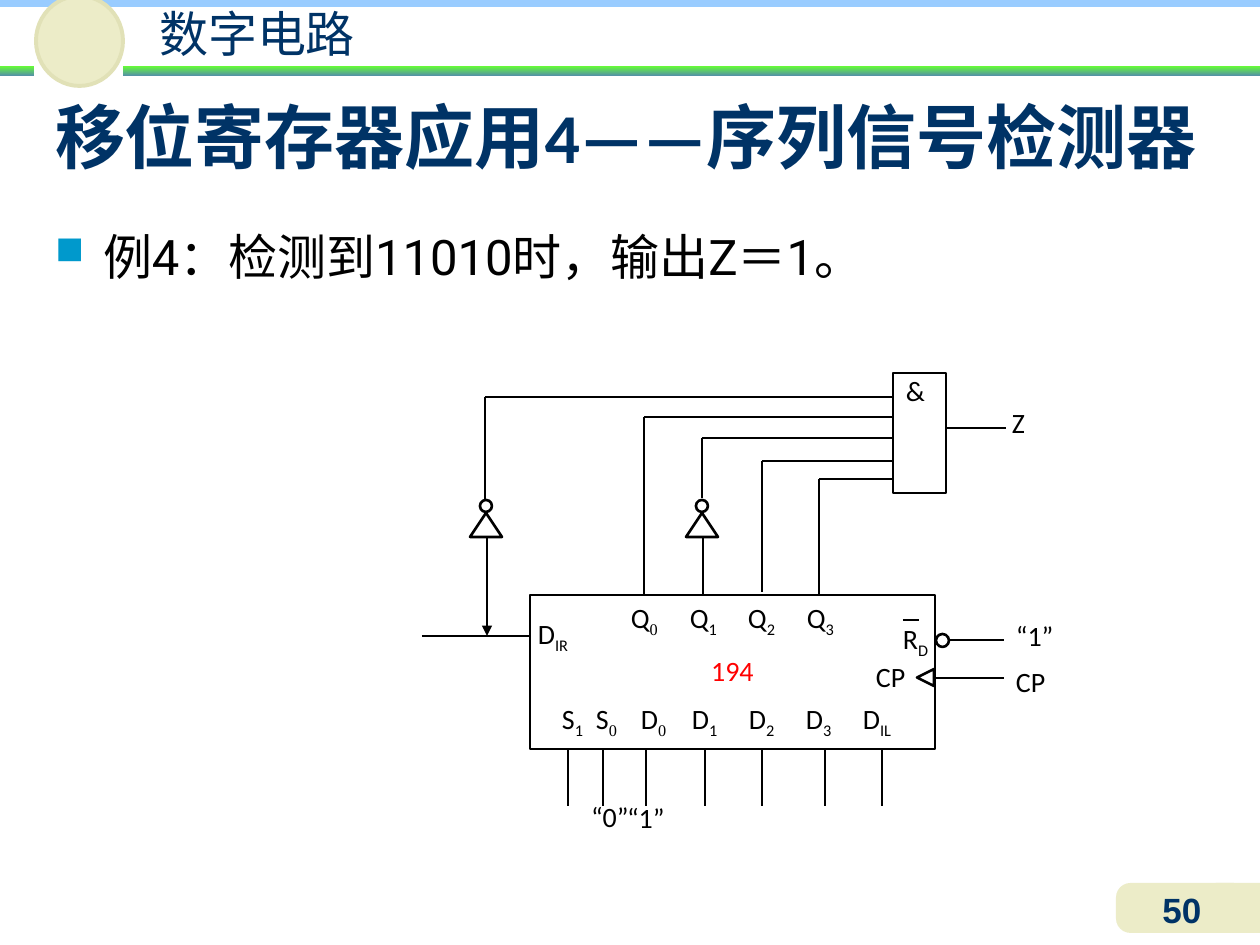
from lxml.etree import SubElement
from pptx import Presentation
from pptx.dml.color import RGBColor
from pptx.enum.shapes import MSO_CONNECTOR, MSO_SHAPE
from pptx.enum.text import MSO_ANCHOR, PP_ALIGN
from pptx.oxml.ns import qn
from pptx.util import Emu, Pt

SCALE = 914400 / 126
NAVY, BLACK, SAND = "003366", "000000", "ECECC8"
GREEN_BAND = ("66FF33", "5490A8")

BANDS = [
    ("RECTANGLE", (123, 66, 1137, 10), GREEN_BAND),
    ("RECTANGLE", (1216, 883, 44, 50), SAND),
    ("ROUNDED_RECTANGLE", (1116, 883, 132, 50), SAND),
    ("RECTANGLE", (0, -3, 1260, 10), "99CCFF"),
    ("OVAL", (36, -4, 87, 90), SAND),
    ("RECTANGLE", (0, 66, 34, 10), GREEN_BAND),
]

CHIP = (530, 595, 405, 154)
CHIP_INSET = 13
CHIP_ROWS = [
    ("\tQ_0\tQ_1\tQ_2\tQ_3", [631, 690, 748, 807], {}),
    ("194", [], {"color": "FF0000", "align": PP_ALIGN.CENTER, "before": 6}),
    ("\tS_1\tS_0\tD_0\tD_1\tD_2\tD_3\tD_IL",
     [562, 596, 641, 692, 749, 806, 863], {"before": 6}),
]
GATE = (893, 373, 53, 120)

LABELS = [
    ("“1”", (627, 801, 56, 37), (0, 0), 1),
    ("“0”", (591, 800, 56, 37), (0, 0), 1),
    ("“1”", (1016, 619, 60, 43), (0, 0), 1),
    ("Z", (1012, 406, 35, 43), (0, 0), 1),
    ("CP", (1013, 659, 63, 45), (3, 1), 1.12),
    ("CP", (873, 655, 47, 45), (3, 1), 1.12),
    ("R_D", (900, 616, 38, 55), (3, 1), 1.12),
    ("D_IR", (535, 611, 47, 86), (3, 1), 1.12),
]

BOTTOM_PINS = [568, 603, 646, 705, 762, 825, 882]
GATE_INPUTS = [(485, 397, 500), (644, 417, 595), (702, 438, 498),
               (762, 461, 592), (819, 479, 594)]
INVERTERS = [486, 702]
WIRES = [
    (703, 537, 703, 595),
    (422, 636, 530, 636),
    (946, 428, 1006, 428),
    (949, 640, 1004, 640),
    (935, 678, 1004, 678),
    (903, 620, 919, 620),
]
FEEDBACK = (487, 538, 487, 636)


def px(value):
    return Emu(round(value * SCALE))


def rgb(value):
    return RGBColor.from_string(value)


def add_text(frame, text, para=None, font="Calibri", size=16, color=BLACK, bold=False,
             align=PP_ALIGN.LEFT, spacing=None, before=0, tabs=(), bullet=None):
    if para is None:
        first = frame.paragraphs[0]
        para = frame.add_paragraph() if first.runs else first
        para.alignment = align
        if spacing:
            para.line_spacing = spacing
        if before:
            para.space_before = Pt(before)
        properties = para._p.get_or_add_pPr()
        if bullet:
            properties.set("marL", str(px(48)))
            properties.set("indent", str(-px(48)))
            tint = SubElement(properties, qn("a:buClr"))
            SubElement(tint, qn("a:srgbClr")).set("val", bullet)
            SubElement(properties, qn("a:buSzPct")).set("val", "80000")
            SubElement(properties, qn("a:buChar")).set("char", "■")
        if tabs:
            stops = SubElement(properties, qn("a:tabLst"))
            for position in tabs:
                stop = SubElement(stops, qn("a:tab"))
                stop.set("pos", str(px(position)))
                stop.set("algn", "l")
    for index, label in enumerate(text.split("\t")):
        base, _, subscript = label.partition("_")
        for piece, lowered in (("\t" * (index > 0) + base, False), (subscript, True)):
            if not piece:
                continue
            span = para.add_run()
            span.text = piece
            span.font.name = "Times New Roman" if lowered and piece == "0" else font
            span.font.size = Pt(size)
            span.font.bold = bold
            span.font.color.rgb = rgb(color)
            if lowered:
                span._r.get_or_add_rPr().set("baseline", "-25000")
    return para


def set_frame(shape, inset, anchor=MSO_ANCHOR.TOP):
    frame = shape.text_frame
    frame.word_wrap = True
    frame.vertical_anchor = anchor
    frame.margin_left = frame.margin_right = px(inset[0])
    frame.margin_top = frame.margin_bottom = px(inset[1])
    return frame


def add_box(page, place, inset=(13, 6), anchor=MSO_ANCHOR.TOP):
    return set_frame(page.shapes.add_textbox(*map(px, place)), inset, anchor)


def add_figure(page, kind, place, fill=None, line=BLACK, width=1.5):
    shape = page.shapes.add_shape(MSO_SHAPE[kind], *map(px, place))
    shape.shadow.inherit = False
    if isinstance(fill, tuple):
        shape.fill.gradient()
        shape.fill.gradient_angle = 270
        for stop, color in zip(shape.fill.gradient_stops, fill):
            stop.color.rgb = rgb(color)
    elif fill:
        shape.fill.solid()
        shape.fill.fore_color.rgb = rgb(fill)
    else:
        shape.fill.background()
    if line:
        shape.line.color.rgb = rgb(line)
        shape.line.width = Pt(width)
    else:
        shape.line.fill.background()
    return shape


def add_wire(page, ends, arrow=False):
    wire = page.shapes.add_connector(MSO_CONNECTOR.STRAIGHT, *map(px, ends))
    wire.line.color.rgb = rgb(BLACK)
    wire.line.width = Pt(1.5)
    if arrow:
        SubElement(wire.line._get_or_add_ln(), qn("a:tailEnd")).set("type", "triangle")
    SubElement(wire._element.spPr, qn("a:effectLst"))


def draw_header(page):
    for kind, place, fill in BANDS:
        edge = "E1E1B7" if kind == "OVAL" else None
        band = add_figure(page, kind, place, fill, edge, 2.25)
        if kind == "ROUNDED_RECTANGLE":
            band.adjustments[0] = 0.29
    add_text(add_box(page, (123, 4, 268, 53), (3, 0)), "数字电路",
             font="Arial", size=28, color=NAVY, align=PP_ALIGN.CENTER)
    title = add_box(page, (42, 73, 1191, 126), anchor=MSO_ANCHOR.MIDDLE)
    heading = {"size": 40, "color": NAVY, "bold": True}
    para = add_text(title, "移位寄存器应用", font="Roboto", **heading)
    add_text(title, "4——序列信号检测器", para, **heading)
    add_text(add_box(page, (42, 220, 1191, 142)), "例4：检测到11010时，输出Z＝1。",
             font="Roboto", size=28, bullet="0099CC")
    add_text(add_box(page, (1124, 882, 116, 42)), "50", font="Arial", size=20,
             color=NAVY, bold=True, align=PP_ALIGN.CENTER)


def draw_circuit(page):
    chip = set_frame(add_figure(page, "RECTANGLE", CHIP), (CHIP_INSET, 1))
    for text, stops, style in CHIP_ROWS:
        tabs = [stop - CHIP[0] - CHIP_INSET for stop in stops]
        add_text(chip, text, tabs=tabs, spacing=1.12, **style)
    add_text(set_frame(add_figure(page, "RECTANGLE", GATE), (13, 1)), "&")
    for text, place, inset, spacing in LABELS:
        add_text(add_box(page, place, inset), text, spacing=spacing)

    for x in BOTTOM_PINS:
        add_wire(page, (x, 749, x, 806))
    for x, top, bottom in GATE_INPUTS:
        add_wire(page, (x, top, GATE[0], top))
        add_wire(page, (x, top, x, bottom))
    for ends in WIRES:
        add_wire(page, ends)
    add_wire(page, FEEDBACK, arrow=True)

    for x in INVERTERS:
        add_figure(page, "ISOSCELES_TRIANGLE", (x - 16, 513, 32, 24))
        add_figure(page, "OVAL", (x - 6, 500, 12, 12))
    add_figure(page, "OVAL", (936, 634, 13, 13))
    add_figure(page, "ISOSCELES_TRIANGLE", (917, 669, 17, 17)).rotation = 270


def main():
    deck = Presentation()
    deck.slide_width, deck.slide_height = px(1260), px(945)
    page = deck.slides.add_slide(deck.slide_layouts[6])
    draw_header(page)
    draw_circuit(page)
    deck.save("out.pptx")


if __name__ == "__main__":
    main()
